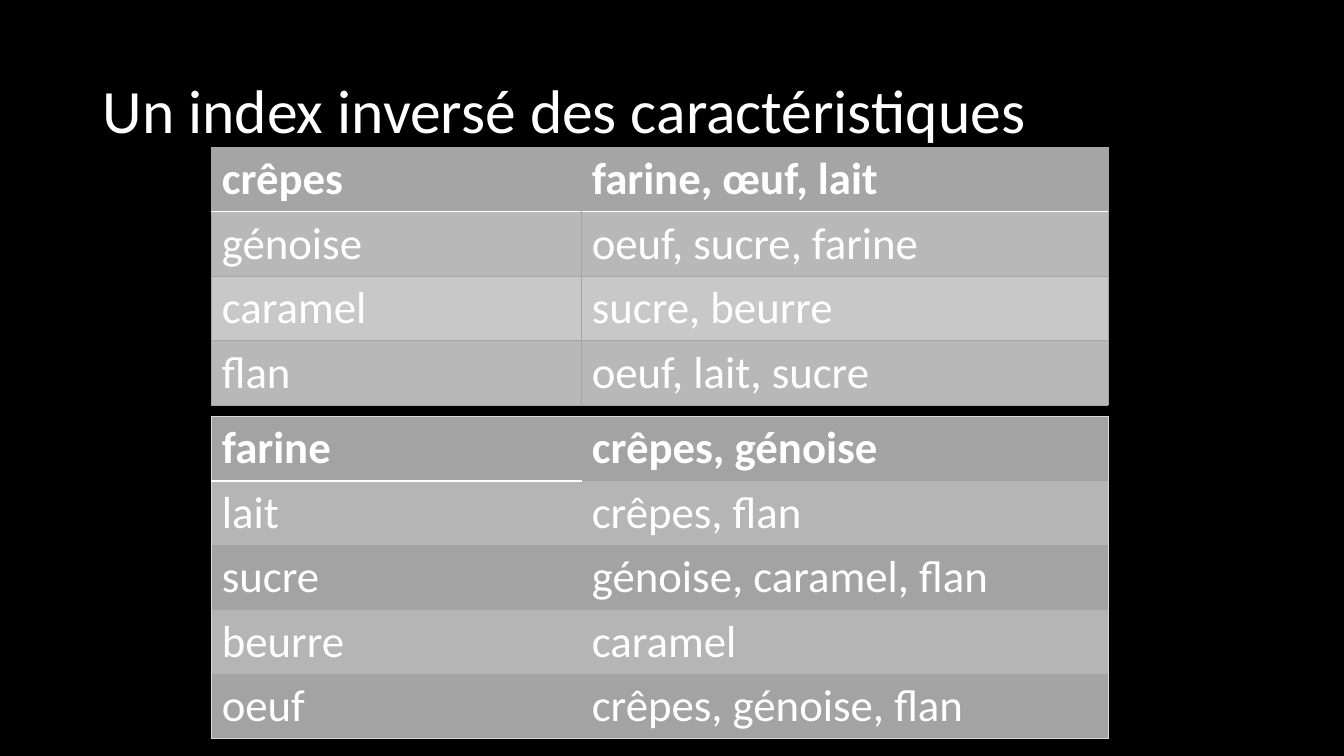
"""Build the slide showing recipes and the inverted index of their ingredients."""
import dataclasses

import lxml.etree
import pptx
import pptx.dml.color
import pptx.enum.text
import pptx.oxml.ns
import pptx.util

Inches = pptx.util.Inches
Pt = pptx.util.Pt
RGB = pptx.dml.color.RGBColor.from_string


@dataclasses.dataclass(frozen=True)
class Theme:
    font: str = "Calibri"
    background: str = "000000"
    text: str = "FFFFFF"
    title_size: int = 44
    cell_size: int = 32
    recipe_header: str = "A5A5A5"
    recipe_bands: tuple = ("B8B8B8", "C8C8C8")
    recipe_grid: str = "A5A5A5"
    index_header: str = "A3A3A3"
    index_bands: tuple = ("B5B5B5", "A3A3A3")
    index_frame: str = "D8D8D8"


theme = Theme()


def write(frame, text, size, bold=False, spacing=1.0):
    """Fill a text frame with one formatted paragraph."""
    paragraph = frame.paragraphs[0]
    paragraph.line_spacing = spacing
    run = paragraph.add_run()
    run.text = text
    run.font.name = theme.font
    run.font.size = Pt(size)
    run.font.bold = bold
    run.font.color.rgb = RGB(theme.text)


def draw_edge(cell, side, color=None, width=0.5):
    """Add one cell border, or an empty one when no colour is given."""
    ns = pptx.oxml.ns.qn
    line = lxml.etree.SubElement(cell._tc.get_or_add_tcPr(), ns(f"a:ln{side}"), w=str(Pt(width)))
    if color:
        fill = lxml.etree.SubElement(line, ns("a:solidFill"))
        lxml.etree.SubElement(fill, ns("a:srgbClr"), val=color)
    else:
        lxml.etree.SubElement(line, ns("a:noFill"))


presentation = pptx.Presentation()
presentation.slide_width = Inches(13.33)
presentation.slide_height = Inches(7.5)
slide = presentation.slides.add_slide(presentation.slide_layouts[6])
slide.background.fill.solid()
slide.background.fill.fore_color.rgb = RGB(theme.background)

title = slide.shapes.add_textbox(Inches(0.92), Inches(0.4), Inches(11.5), Inches(1.45)).text_frame
title.word_wrap = True
title.vertical_anchor = pptx.enum.text.MSO_ANCHOR.MIDDLE
write(title, "Un index inversé des caractéristiques", theme.title_size, spacing=0.9)

recipes = [
    ("crêpes", "farine, œuf, lait"),
    ("génoise", "oeuf, sucre, farine"),
    ("caramel", "sucre, beurre"),
    ("flan", "oeuf, lait, sucre"),
]
inverted_index = [
    ("farine", "crêpes, génoise"),
    ("lait", "crêpes, flan"),
    ("sucre", "génoise, caramel, flan"),
    ("beurre", "caramel"),
    ("oeuf", "crêpes, génoise, flan"),
]
column_widths = (3.67, 5.22)
row_height = 0.64

listings = [
    (recipes, 1.46, theme.recipe_header, theme.recipe_bands, theme.recipe_grid, theme.recipe_grid, 1, (0, 1)),
    (inverted_index, 4.13, theme.index_header, theme.index_bands, theme.index_frame, None, 1.5, (0,)),
]
for entries, top, header, bands, outer, inner, rule_width, ruled_columns in listings:
    table = slide.shapes.add_table(
        len(entries), 2, Inches(2.1), Inches(top),
        Inches(sum(column_widths)), Inches(row_height * len(entries)),
    ).table
    for column, width in zip(table.columns, column_widths):
        column.width = Inches(width)
    for row, entry in enumerate(entries):
        table.rows[row].height = Inches(row_height)
        for col, text in enumerate(entry):
            cell = table.cell(row, col)
            divider = inner if row else None
            rule = (theme.text, rule_width) if col in ruled_columns else (None,)
            upper = {0: (outer,), 1: rule}.get(row, (inner,))
            lower = rule if row == 0 else (outer if row == len(entries) - 1 else inner,)
            draw_edge(cell, "L", divider if col else outer)
            draw_edge(cell, "R", outer if col else divider)
            draw_edge(cell, "T", *upper)
            draw_edge(cell, "B", *lower)
            cell.fill.solid()
            cell.fill.fore_color.rgb = RGB(bands[(row - 1) % 2] if row else header)
            write(cell.text_frame, text, theme.cell_size, bold=row == 0)

presentation.save("out.pptx")
